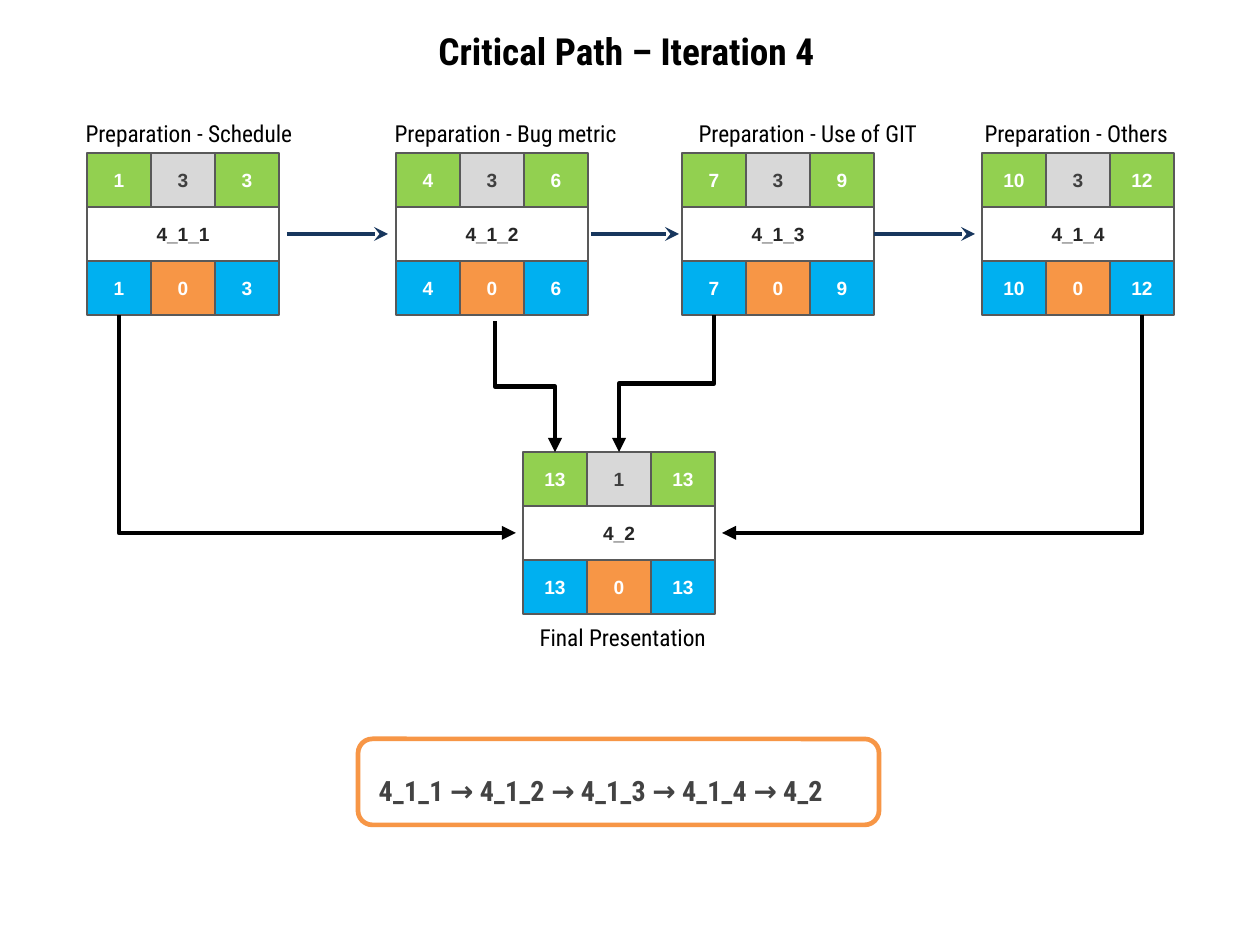
from lxml import etree
from pptx import Presentation
from pptx import util as u
from pptx.dml.color import RGBColor
from pptx.enum import shapes, text
from pptx.oxml import ns

WHITE = RGBColor(0xFF, 0xFF, 0xFF)
BLACK = RGBColor(0x00, 0x00, 0x00)
GREEN = RGBColor(0x92, 0xD0, 0x50)
BLUE = RGBColor(0x00, 0xB0, 0xF0)
ORANGE = RGBColor(0xF7, 0x96, 0x46)
GREY = RGBColor(0xD8, 0xD8, 0xD8)
BORDER = RGBColor(0x59, 0x59, 0x59)
CODE_INK = RGBColor(0x26, 0x26, 0x26)
DURATION_INK = RGBColor(0x3F, 0x3F, 0x3F)
PATH_INK = RGBColor(0x43, 0x43, 0x43)
NAVY = RGBColor(0x17, 0x36, 0x5D)

HEADING_FONT, CELL_FONT = "Roboto Condensed", "Arial"
CELL_W, CELL_H = 64, 54
TOP_ROW, FINAL_ROW = 153, 452
FLOW_Y = TOP_ROW + CELL_H * 3 // 2


def px(n):
    return u.Emu(round(n * 914400 / 168))


class CriticalPathSlide:
    def __init__(self, deck):
        self.slide = deck.slides.add_slide(deck.slide_layouts[6])

    def add_words(self, frame, words, size, color, font=HEADING_FONT, bold=False,
                  align=text.PP_ALIGN.LEFT):
        frame.word_wrap = True
        paragraph = frame.paragraphs[0]
        paragraph.alignment = align
        run = paragraph.add_run()
        run.text = words
        run.font.name, run.font.size, run.font.bold = font, u.Pt(size), bold
        run.font.color.rgb = color
        return paragraph

    def label(self, words, x, y, w=267, h=42, size=10, bold=False):
        box = self.slide.shapes.add_textbox(px(x), px(y), px(w), px(h))
        self.add_words(box.text_frame, words, size, BLACK, bold=bold)

    def box(self, parent, kind, x, y, w, h, fill, border, weight):
        shape = parent.add_shape(kind, px(x), px(y), px(w), px(h))
        shape.shadow.inherit = False
        shape.fill.solid()
        shape.fill.fore_color.rgb = fill
        shape.line.color.rgb, shape.line.width = border, u.Pt(weight)
        shape.text_frame.vertical_anchor = text.MSO_ANCHOR.MIDDLE
        return shape

    def cell(self, group, words, x, y, w, fill, ink):
        shape = self.box(group.shapes, shapes.MSO_SHAPE.RECTANGLE,
                         x, y, w, CELL_H, fill, BORDER, 1)
        frame = shape.text_frame
        frame.margin_left = frame.margin_right = 0
        frame.margin_top = frame.margin_bottom = 0
        self.add_words(frame, words, 8.2, ink, CELL_FONT, True, text.PP_ALIGN.CENTER)
        return shape

    def activity(self, code, x, y, early, late):
        """Draw one activity node and return its code bar."""
        group = self.slide.shapes.add_group_shape()
        bar = self.cell(group, code, x, y + CELL_H, 3 * CELL_W, WHITE, CODE_INK)
        rows = ((y, early, (GREEN, GREY, GREEN), (WHITE, DURATION_INK, WHITE)),
                (y + 2 * CELL_H, late, (BLUE, ORANGE, BLUE), (WHITE,) * 3))
        for row_y, values, fills, inks in rows:
            for col, (value, fill, ink) in enumerate(zip(values, fills, inks)):
                self.cell(group, str(value), x + col * CELL_W, row_y, CELL_W, fill, ink)
        return bar

    def arrow(self, kind, x1, y1, x2, y2, color, head):
        line = self.slide.shapes.add_connector(kind, px(x1), px(y1), px(x2), px(y2))
        line.line.color.rgb, line.line.width = color, u.Pt(2)
        properties = line._element.spPr
        etree.SubElement(properties.find(ns.qn("a:ln")), ns.qn("a:tailEnd"), type=head)
        etree.SubElement(properties, ns.qn("a:effectLst"))
        return line

    def flow(self, x1, x2):
        return self.arrow(shapes.MSO_CONNECTOR.STRAIGHT, x1, FLOW_Y, x2, FLOW_Y,
                          NAVY, "stealth")

    def elbow(self, x1, y1, x2, y2, preset):
        """Leave downwards: lay the line out sideways, then turn it by 90 degrees."""
        mid_x, mid_y = (x1 + x2) / 2, (y1 + y2) / 2
        half_w, half_h = (x2 - x1) / 2, (y2 - y1) / 2
        line = self.arrow(shapes.MSO_CONNECTOR.ELBOW, mid_x - half_h, mid_y + half_w,
                          mid_x + half_h, mid_y - half_w, BLACK, "triangle")
        line.rotation = 90
        line._element.spPr.find(ns.qn("a:prstGeom")).set("prst", preset)

    def summary(self, words, x, y, w, h):
        frame = self.box(self.slide.shapes, shapes.MSO_SHAPE.ROUNDED_RECTANGLE,
                         x, y, w, h, WHITE, ORANGE, 2).text_frame
        paragraph = self.add_words(frame, words, 12, PATH_INK, bold=True,
                                   align=text.PP_ALIGN.JUSTIFY)
        paragraph.line_spacing = 1.5


def main():
    deck = Presentation()
    deck.slide_width, deck.slide_height = px(1260), px(945)
    page = CriticalPathSlide(deck)

    # Activities: code, left, top, early row, late row, label, label position
    activities = (
        ("4_1_1", 87, TOP_ROW, (1, 3, 3), (1, 0, 3), "Preparation - Schedule", 69, 111),
        ("4_1_2", 396, TOP_ROW, (4, 3, 6), (4, 0, 6), "Preparation - Bug metric", 378, 111),
        ("4_1_3", 682, TOP_ROW, (7, 3, 9), (7, 0, 9), "Preparation - Use of GIT", 682, 111),
        ("4_1_4", 982, TOP_ROW, (10, 3, 12), (10, 0, 12), "Preparation - Others", 968, 111),
        ("4_2", 523, FINAL_ROW, (13, 1, 13), (13, 0, 13), "Final Presentation", 523, 615),
    )
    bars = {}
    for code, x, y, early, late, name, name_x, name_y in activities:
        bars[code] = page.activity(code, x, y, early, late)
        page.label(name, name_x, name_y)

    # Flow between the preparations
    page.flow(287, 388)
    page.flow(591, 679)
    page.flow(874, 975).begin_connect(bars["4_1_3"], 3)

    # Paths into the final presentation
    page.elbow(119, 315, 516, 533, "bentConnector2")
    page.elbow(495, 321, 555, FINAL_ROW, "bentConnector3")
    page.elbow(714, 315, 619, FINAL_ROW, "bentConnector3")
    page.elbow(1142, 315, 722, 533, "bentConnector2")

    # Title and resulting path
    page.label("Critical Path – Iteration 4", 422, 20, 415, 62, 16, True)
    page.summary(" → ".join(bars), 358, 739, 521, 86)

    deck.save("out.pptx")


if __name__ == "__main__":
    main()
